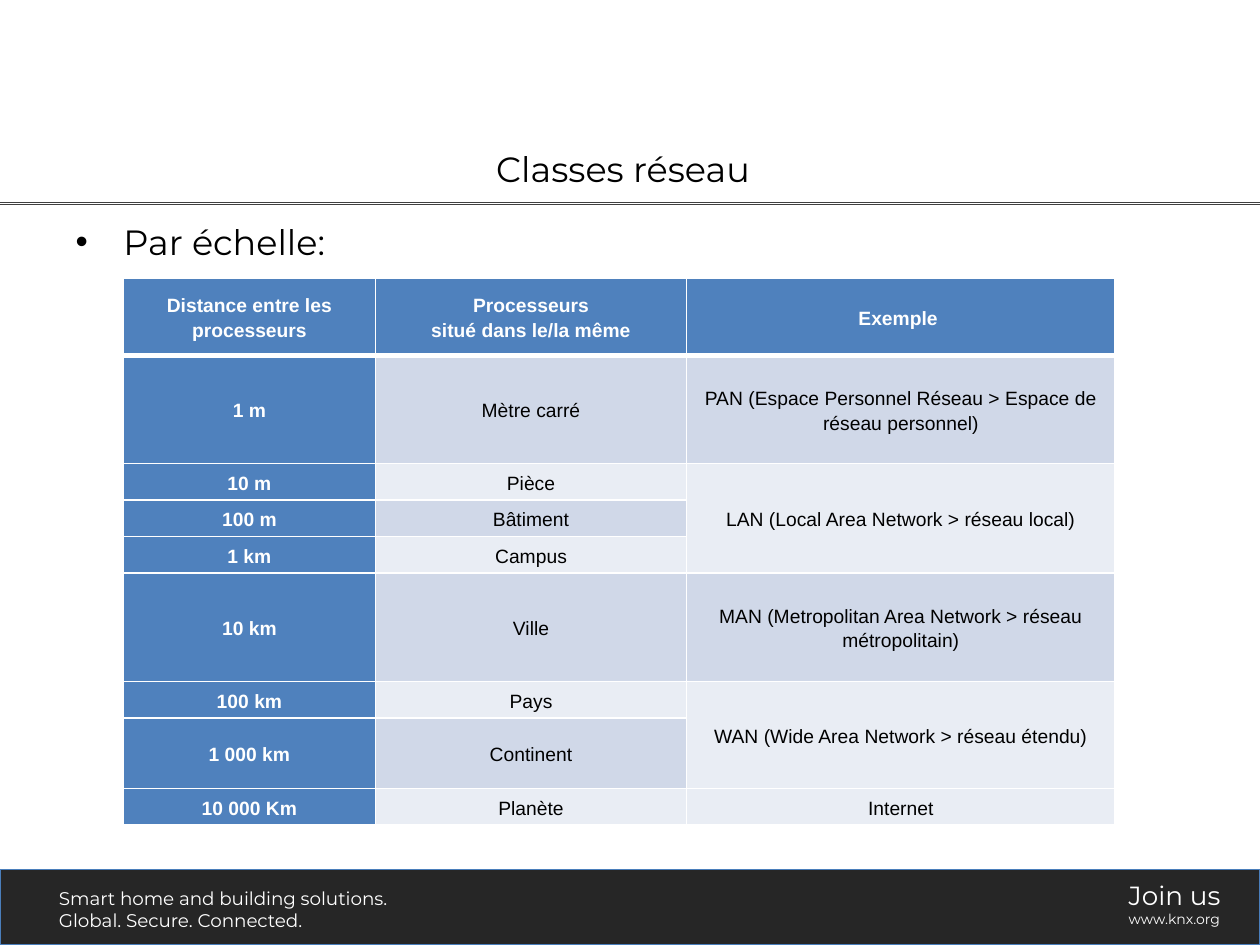
import pptx
import pptx.util
import pptx.dml.color
import pptx.enum.shapes
import pptx.enum.text
import pptx.oxml.ns
from lxml import etree

RGB = pptx.dml.color.RGBColor
WHITE = RGB(0xFF, 0xFF, 0xFF)
BLACK = RGB(0, 0, 0)
RULE = RGB(0x40, 0x40, 0x40)
FOOTER = RGB(0x26, 0x26, 0x26)
FOOTER_EDGE = RGB(0x4A, 0x7E, 0xBB)
HEADER = RGB(0x4F, 0x81, 0xBD)
BANDS = (RGB(0xE9, 0xED, 0xF4), RGB(0xD0, 0xD8, 0xE8))

W, H = 10, 7.5
Inches, Pt = pptx.util.Inches, pptx.util.Pt
ALIGN, ANCHOR = pptx.enum.text.PP_ALIGN, pptx.enum.text.MSO_ANCHOR
qn = pptx.oxml.ns.qn

COL_WIDTHS = (2, 2.47, 3.4)
ROW_HEIGHTS = (0.61, 0.86, 0.29, 0.29, 0.29, 0.86, 0.29, 0.56, 0.29)
ROWS = (
    ("Distance entre les processeurs", "Processeurs\nsitué dans le/la même", "Exemple\u00a0"),
    ("1 m", "Mètre carré", "PAN (Espace Personnel Réseau > Espace de réseau personnel)"),
    ("10 m", "Pièce", "LAN (Local Area Network > réseau local)"),
    ("100 m", "Bâtiment", None),
    ("1 km", "Campus", None),
    ("10 km", "Ville", "MAN (Metropolitan Area Network > réseau métropolitain)"),
    ("100 km", "Pays", "WAN (Wide Area Network > réseau étendu)"),
    ("1 000 km", "Continent", None),
    ("10 000 Km", "Planète", "Internet"),
)
EXAMPLE_SPANS = ((2, 4), (6, 7))


def add_text(tf, text, size, font="Montserrat", color=BLACK, bold=False,
             align=ALIGN.LEFT, spacing=1.0, first=True, bullet=None):
    """Write one paragraph per line of text; first=False appends to the frame."""
    for i, line in enumerate(text.split("\n")):
        p = tf.paragraphs[0] if first and i == 0 else tf.add_paragraph()
        if bullet:
            pPr = p._p.get_or_add_pPr()
            pPr.set("marL", str(Inches(0.38)))
            pPr.set("indent", str(-Inches(0.38)))
            etree.SubElement(pPr, qn("a:buChar"), char=bullet)
        p.alignment, p.line_spacing = align, spacing
        p.space_before = p.space_after = Pt(0)
        r = p.add_run()
        r.text = line
        r.font.size, r.font.name, r.font.bold = Pt(size), font, bold
        r.font.color.rgb = color


def place(sp, x, y, w, h):
    sp.left, sp.top, sp.width, sp.height = map(Inches, (x, y, w, h))


def add_heading(s, x, y, w, h):
    """Title over a double rule that crosses the slide."""
    title = s.shapes.title
    place(title, x, y, w, h)
    title.text_frame.vertical_anchor = ANCHOR.MIDDLE
    add_text(title.text_frame, "Classes réseau", 20, align=ALIGN.CENTER)
    for rule_y in (y + h + 0.03, y + h + 0.04):
        line = s.shapes.add_connector(pptx.enum.shapes.MSO_CONNECTOR.STRAIGHT,
                                      0, Inches(rule_y), Inches(W), Inches(rule_y))
        line.line.color.rgb, line.line.width = RULE, Pt(0.5)
        etree.SubElement(line._element.spPr, qn("a:effectLst"))


def add_body(s, x, y, w, h):
    body = s.placeholders[1]
    place(body, x, y, w, h)
    body.text_frame.vertical_anchor = ANCHOR.TOP
    add_text(body.text_frame, "Par échelle:", 20, bullet="•")


def set_borders(cell, bottom):
    tcPr = cell._tc.get_or_add_tcPr()
    for side, width in (("L", 1), ("R", 1), ("T", 1), ("B", bottom)):
        ln = etree.SubElement(tcPr, qn("a:ln" + side), w=str(Pt(width)))
        fill = etree.SubElement(ln, qn("a:solidFill"))
        etree.SubElement(fill, qn("a:srgbClr"), val=str(WHITE))


def add_scale_table(s, x, y):
    """Distance table: blue header row and column, banded cells elsewhere."""
    frame = s.shapes.add_table(len(ROWS), len(COL_WIDTHS), Inches(x), Inches(y),
                               Inches(sum(COL_WIDTHS)), Inches(sum(ROW_HEIGHTS)))
    table = frame.table
    table.horz_banding = False
    for col, width in zip(table.columns, COL_WIDTHS):
        col.width = Inches(width)
    for row, height in zip(table.rows, ROW_HEIGHTS):
        row.height = Inches(height)
    for top, bottom in EXAMPLE_SPANS:
        table.cell(top, 2).merge(table.cell(bottom, 2))

    for i, texts in enumerate(ROWS):
        for j, text in enumerate(texts):
            cell = table.cell(i, j)
            is_head = i == 0 or j == 0
            set_borders(cell, 3 if i == 0 else 1)
            cell.fill.solid()
            cell.fill.fore_color.rgb = HEADER if is_head else BANDS[i % 2]
            cell.vertical_anchor = ANCHOR.MIDDLE
            cell.margin_left = cell.margin_right = Inches(0.07)
            cell.margin_top = cell.margin_bottom = 0
            if text:
                add_text(cell.text_frame, text, 11, font="Arial", bold=is_head,
                         color=WHITE if is_head else BLACK,
                         align=ALIGN.CENTER, spacing=1.15)


def add_footer(s, x, y, w, h):
    """Dark band with a slogan on the left and an invitation on the right."""
    band = s.shapes.add_shape(pptx.enum.shapes.MSO_SHAPE.RECTANGLE,
                              *map(Inches, (x, y, w, h)))
    band.shadow.inherit = False
    band.fill.solid()
    band.fill.fore_color.rgb = FOOTER
    band.line.color.rgb, band.line.width = FOOTER_EDGE, Pt(0.75)
    blocks = (
        (0.37, 0.09, 2.93, 0.45, (("Smart home and building solutions.", 10.5),
                                  ("Global. Secure. Connected.", 10.5))),
        (8.86, 0.03, 0.94, 0.51, (("Join us", 15), ("www.knx.org", 8))),
    )
    for dx, dy, bw, bh, lines in blocks:
        box = s.shapes.add_textbox(*map(Inches, (x + dx, y + dy, bw, bh)))
        box.text_frame.word_wrap = True
        for i, (text, size) in enumerate(lines):
            add_text(box.text_frame, text, size, color=WHITE, first=i == 0)


def main():
    prs = pptx.Presentation()
    prs.slide_width, prs.slide_height = Inches(W), Inches(H)
    s = prs.slides.add_slide(prs.slide_layouts[1])
    add_heading(s, 0.37, 1.09, 9.15, 0.49)
    add_body(s, 0.5, 1.7, 9, 4.86)
    add_scale_table(s, 0.98, 2.21)
    add_footer(s, 0, 0.92 * H, W, 0.08 * H)
    prs.save("out.pptx")


if __name__ == "__main__":
    main()
